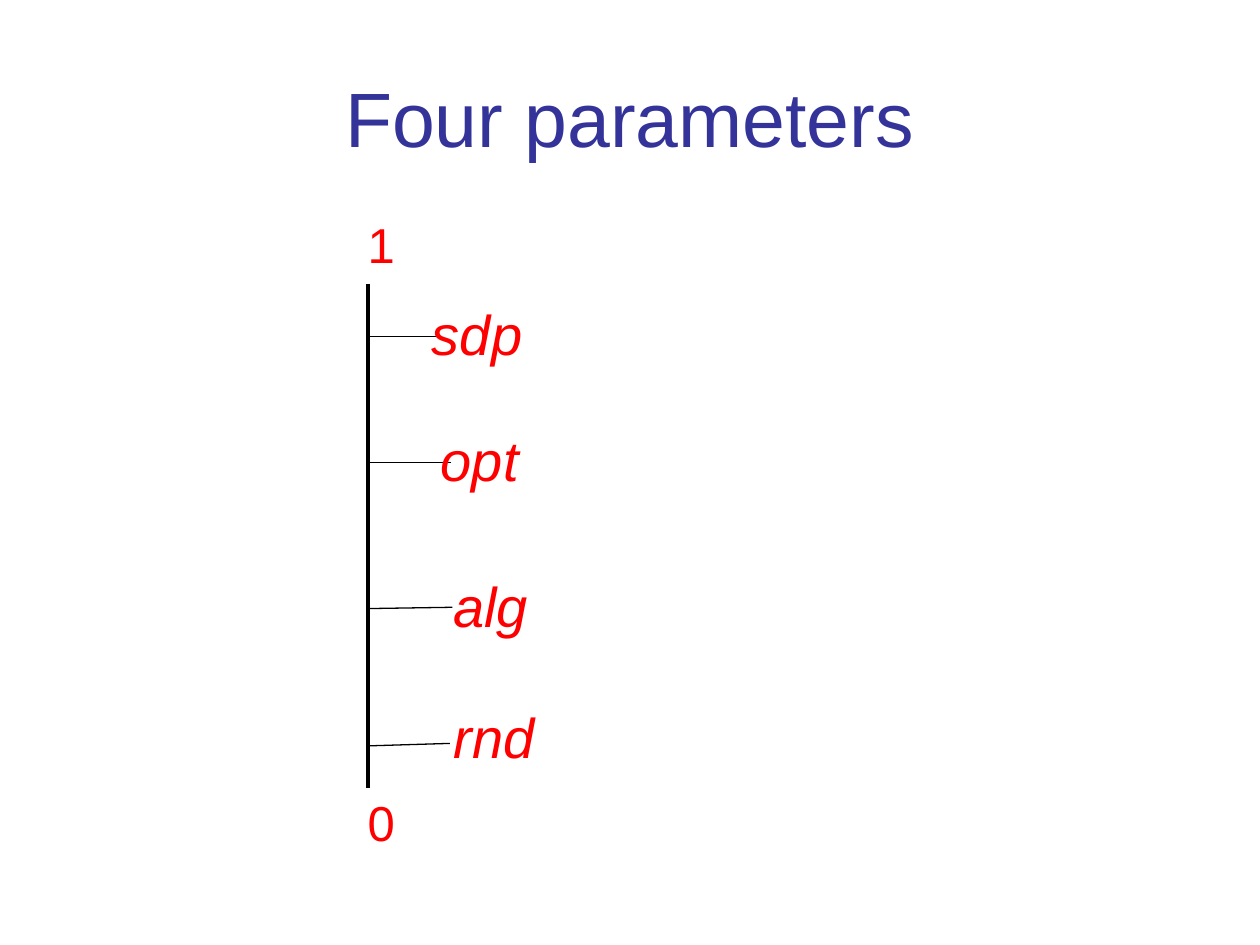
import pptx
import pptx.dml.color
import pptx.enum.shapes
import pptx.enum.text
import pptx.oxml
import pptx.util
from pptx.util import Inches

BLUE = pptx.dml.color.RGBColor(0x33, 0x33, 0x99)
RED = pptx.dml.color.RGBColor(0xFF, 0x00, 0x00)
BLACK = pptx.dml.color.RGBColor(0x00, 0x00, 0x00)
FONT = "Arial"
ALIGN = pptx.enum.text.PP_ALIGN
ANCHOR = pptx.enum.text.MSO_ANCHOR


def add_text(slide, box, text, size, color, italic=False,
             align=ALIGN.LEFT, anchor=ANCHOR.TOP):
    shape = slide.shapes.add_textbox(*(Inches(length) for length in box))
    frame = shape.text_frame
    frame.word_wrap = True
    frame.vertical_anchor = anchor
    paragraph = frame.paragraphs[0]
    paragraph.alignment = align
    run = paragraph.add_run()
    run.text = text
    run.font.name = FONT
    run.font.size = pptx.util.Pt(size)
    run.font.italic = italic
    run.font.color.rgb = color


def add_line(slide, start, end, width):
    connector = slide.shapes.add_connector(
        pptx.enum.shapes.MSO_CONNECTOR.STRAIGHT,
        *(Inches(length) for length in (*start, *end)))
    connector.line.color.rgb = BLACK
    connector.line.width = pptx.util.Pt(width)
    properties = connector._element.spPr
    properties.append(pptx.oxml.parse_xml(
        '<a:effectLst xmlns:a="http://schemas.openxmlformats.org/drawingml/2006/main"/>'))


def add_title(slide, box):
    add_text(slide, box, "Four parameters", 44, BLUE,
             align=ALIGN.CENTER, anchor=ANCHOR.MIDDLE)


def add_scale(slide, left, top, height):
    add_line(slide, (left, top), (left, top + height), 2)
    for text, offset in (("1", -0.6), ("0", height - 0.01)):
        add_text(slide, (left - 0.1, top + offset, 0.41, 0.57), text, 28, RED)

    parameters = (
        ("sdp", 0.42, 0.58, 0, 0.41, 0.08, 1.08),
        ("opt", 1.42, 0.66, 0, 0.48, 1.08, 1.1),
        ("alg", 2.58, 0.67, 0.01, 0.58, 2.24, 1.45),
        ("rnd", 3.67, 0.65, 0.02, 0.58, 3.28, 0.84),
    )
    for name, tick, length, rise, indent, offset, width in parameters:
        add_line(slide, (left, top + tick),
                 (left + length, top + tick - rise), 0.75)
        add_text(slide, (left + indent, top + offset, width, 0.64),
                 name, 32, RED, italic=True)


def main():
    presentation = pptx.Presentation()
    presentation.slide_width = Inches(10)
    presentation.slide_height = Inches(7.5)
    slide = presentation.slides.add_slide(presentation.slide_layouts[6])
    add_title(slide, (0.5, 0.3, 9, 1.25))
    add_scale(slide, 2.92, 2.25, 4)
    presentation.save("out.pptx")


if __name__ == "__main__":
    main()
